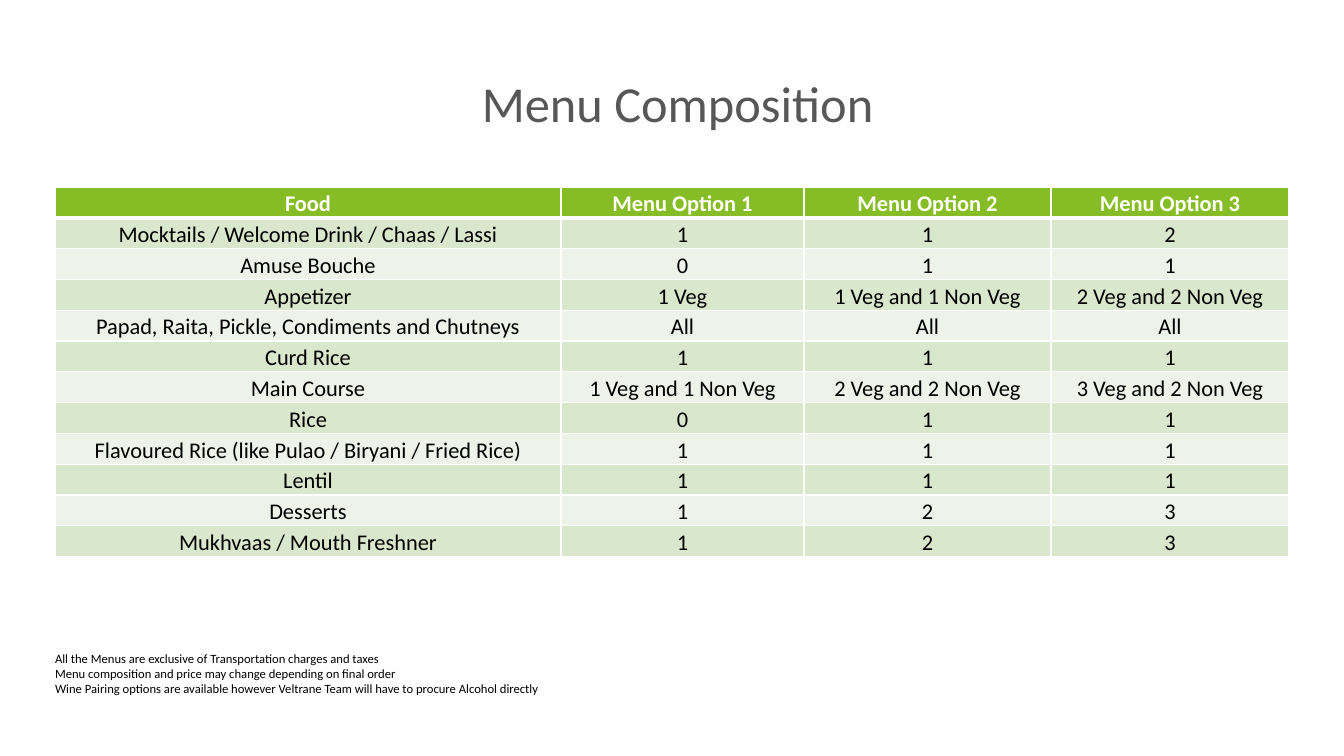
"""Build the menu composition slide."""
import dataclasses

import pptx
import pptx.dml.color
import pptx.enum.text
import pptx.oxml.ns
import pptx.slide
import pptx.table
import pptx.text.text
import pptx.util
from lxml import etree

EMU_PER_PX = 914400 / 100.8
FONT = "Calibri"
COLOURS = {
    "title": "575757",
    "text": "000000",
    "white": "FFFFFF",
    "header": "86BC25",
    "odd": "D9E7CD",
    "even": "EDF3E8",
}
ALIGN = pptx.enum.text.PP_ALIGN
LEFT, WIDTH = 55, 1234
TABLE_TOP, TABLE_HEIGHT = 187, 370
COLUMN_WIDTHS = (506, 243, 247, 238)
MENU_ROWS = (
    ("Food", "Menu Option 1", "Menu Option 2", "Menu Option 3"),
    ("Mocktails / Welcome Drink / Chaas / Lassi", "1", "1", "2"),
    ("Amuse Bouche", "0", "1", "1"),
    ("Appetizer", "1 Veg", "1 Veg and 1 Non Veg", "2 Veg and 2 Non Veg"),
    ("Papad, Raita, Pickle, Condiments and Chutneys", "All", "All", "All"),
    ("Curd Rice", "1", "1", "1"),
    ("Main Course", "1 Veg and 1 Non Veg", "2 Veg and 2 Non Veg", "3 Veg and 2 Non Veg"),
    ("Rice", "0", "1", "1"),
    ("Flavoured Rice (like Pulao / Biryani / Fried Rice)", "1", "1", "1"),
    ("Lentil", "1", "1", "1"),
    ("Desserts", "1", "2", "3"),
    ("Mukhvaas / Mouth Freshner", "1", "2", "3"),
)


@dataclasses.dataclass(frozen=True)
class TextStyle:
    size: int
    colour: str
    bold: bool = False
    align: ALIGN = ALIGN.CENTER
    space_after: int = 0


@dataclasses.dataclass(frozen=True)
class TextBlock:
    top: int
    height: int
    style: TextStyle
    lines: tuple[str, ...]


HEADER_STYLE = TextStyle(16, "white", bold=True)
BODY_STYLE = TextStyle(16, "text")
BLOCKS = (
    TextBlock(72, 84, TextStyle(36, "title", space_after=10), (" Menu Composition",)),
    TextBlock(
        651,
        52,
        TextStyle(9, "text", align=ALIGN.LEFT),
        (
            "All the Menus are exclusive of Transportation charges and taxes",
            "Menu composition and price may change depending on final order",
            "Wine Pairing options are available however Veltrane Team will have to procure Alcohol directly",
        ),
    ),
)


def px(length: float) -> pptx.util.Emu:
    return pptx.util.Emu(round(length * EMU_PER_PX))


def rgb(name: str) -> pptx.dml.color.RGBColor:
    return pptx.dml.color.RGBColor.from_string(COLOURS[name])


def write_lines(frame: pptx.text.text.TextFrame, lines: tuple[str, ...], style: TextStyle) -> None:
    for index, line in enumerate(lines):
        para = frame.add_paragraph() if index else frame.paragraphs[0]
        para.alignment = style.align
        para.space_after = pptx.util.Pt(style.space_after)
        span = para.add_run()
        span.text = line
        span.font.name = FONT
        span.font.size = pptx.util.Pt(style.size)
        span.font.bold = style.bold
        span.font.color.rgb = rgb(style.colour)


def draw_block(page: pptx.slide.Slide, block: TextBlock) -> None:
    box = page.shapes.add_textbox(px(LEFT), px(block.top), px(WIDTH), px(block.height))
    frame = box.text_frame
    frame.word_wrap = True
    frame.margin_left = frame.margin_right = frame.margin_top = frame.margin_bottom = 0
    write_lines(frame, block.lines, block.style)


def add_border(cell: pptx.table._Cell, side: str, points: int) -> None:
    qn = pptx.oxml.ns.qn
    properties = cell._tc.get_or_add_tcPr()
    line = etree.SubElement(properties, qn(f"a:ln{side}"), w=str(pptx.util.Pt(points)))
    fill = etree.SubElement(line, qn("a:solidFill"))
    etree.SubElement(fill, qn("a:srgbClr"), val=COLOURS["white"])


def draw_cell(cell: pptx.table._Cell, text: str, row: int) -> None:
    cell.vertical_anchor = pptx.enum.text.MSO_ANCHOR.BOTTOM
    cell.margin_left = cell.margin_right = cell.margin_top = px(1)
    cell.margin_bottom = 0
    write_lines(cell.text_frame, (text,), BODY_STYLE if row else HEADER_STYLE)
    borders = {"L": 1, "R": 1, "T": 3 if row == 1 else 1, "B": 1 if row else 3}
    for side, points in borders.items():
        add_border(cell, side, points)
    cell.fill.solid()
    cell.fill.fore_color.rgb = rgb(("even", "odd")[row % 2] if row else "header")


def draw_menu(page: pptx.slide.Slide) -> None:
    row_count = len(MENU_ROWS)
    table = page.shapes.add_table(
        row_count, len(COLUMN_WIDTHS), px(LEFT), px(TABLE_TOP), px(WIDTH), px(TABLE_HEIGHT)
    ).table
    table.horz_banding = False
    for column, width in zip(table.columns, COLUMN_WIDTHS):
        column.width = px(width)
    for row, texts in enumerate(MENU_ROWS):
        table.rows[row].height = px(TABLE_HEIGHT / row_count)
        for column, text in enumerate(texts):
            draw_cell(table.cell(row, column), text, row)


def main() -> None:
    deck = pptx.Presentation()
    deck.slide_width, deck.slide_height = px(1344), px(756)
    page = deck.slides.add_slide(deck.slide_layouts[6])
    for block in BLOCKS:
        draw_block(page, block)
    draw_menu(page)
    deck.save("out.pptx")


if __name__ == "__main__":
    main()
